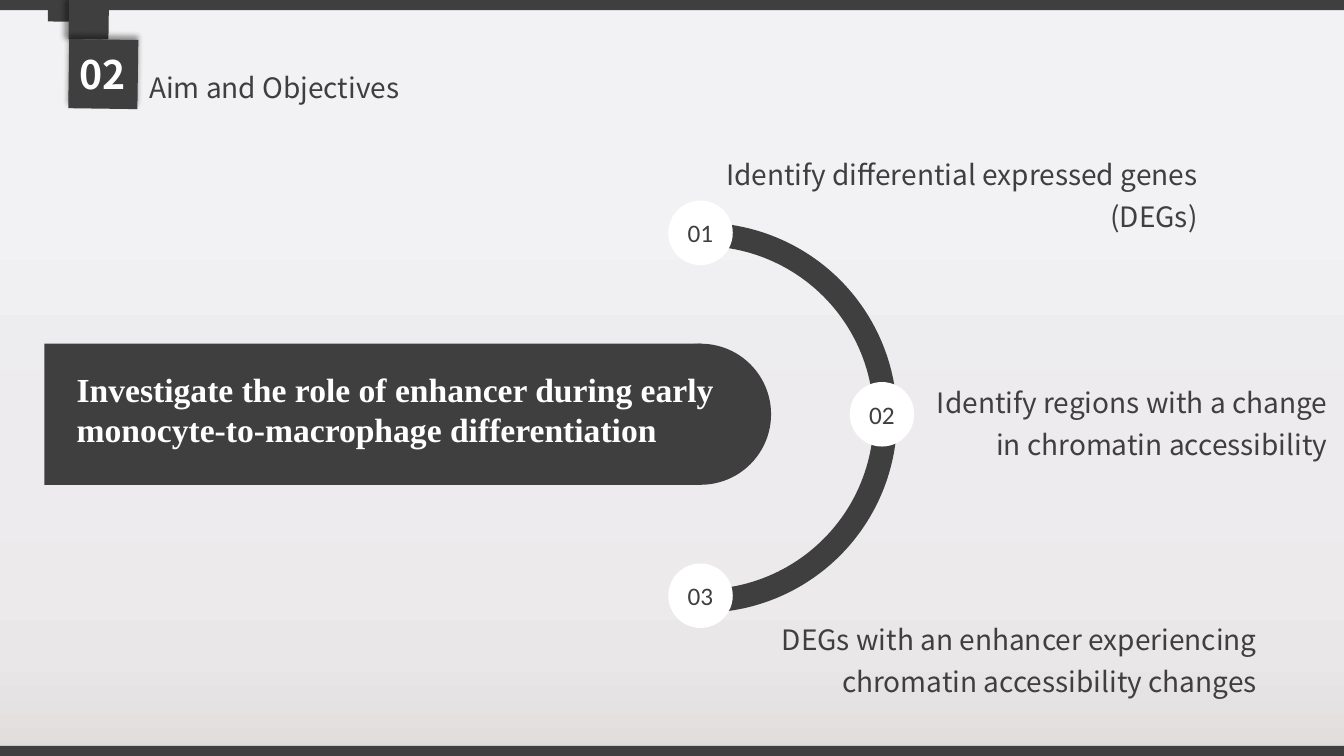
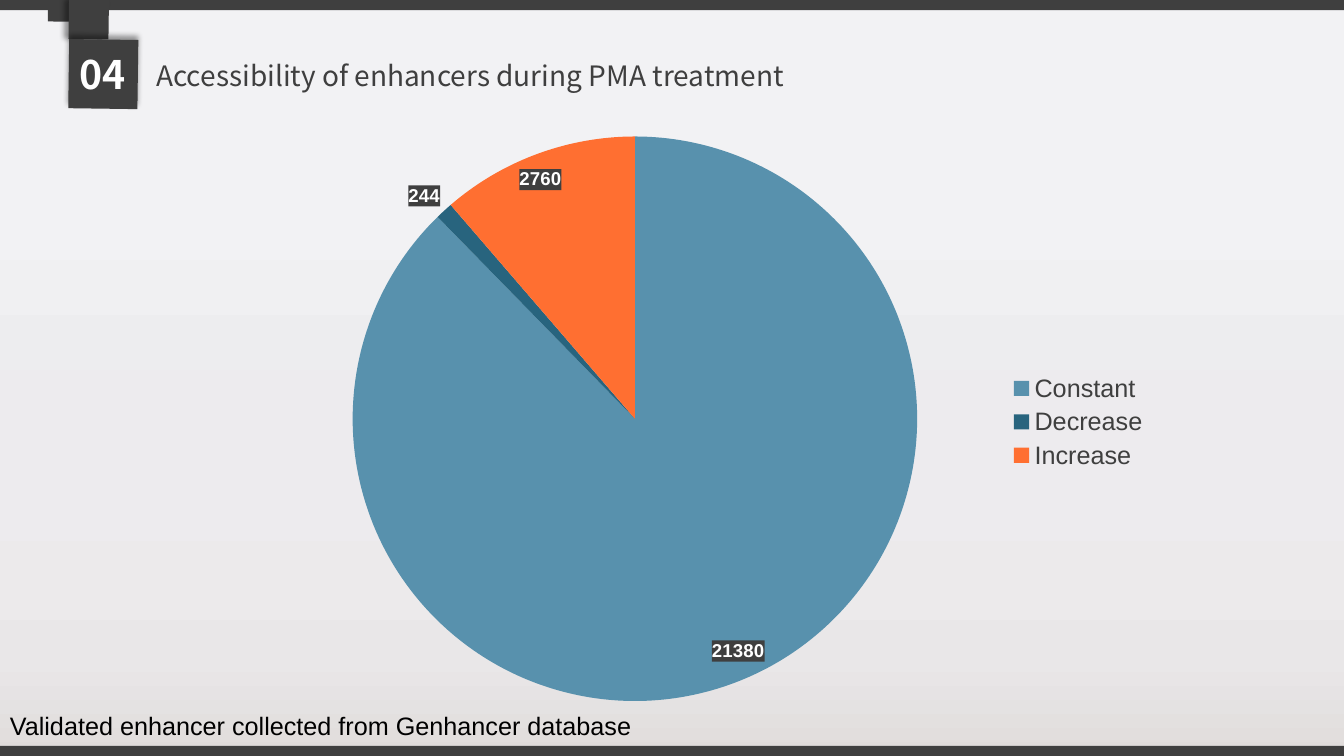
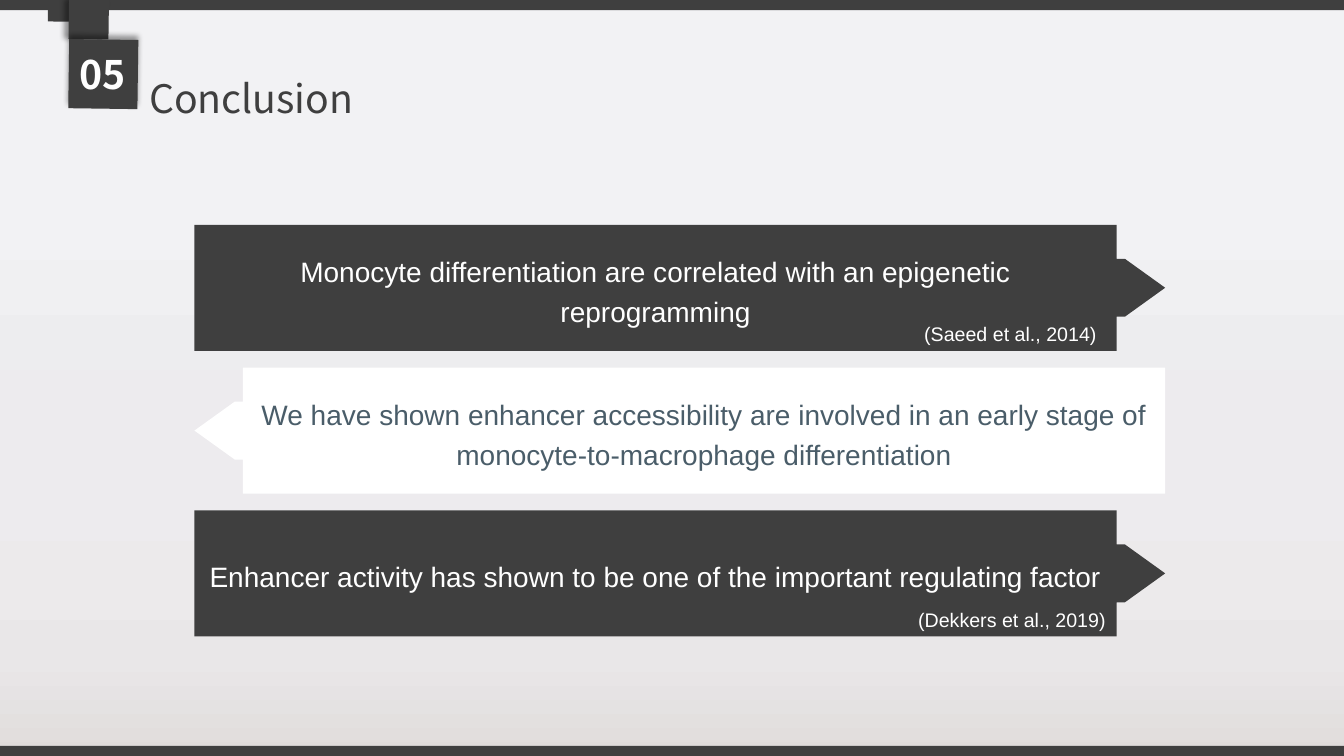
from dataclasses import dataclass

from lxml import etree
from pptx import Presentation
from pptx import util as u
from pptx.chart import data as chart_data
from pptx.dml import color
from pptx.enum import chart as charts
from pptx.enum import shapes, text
from pptx.oxml import ns

COLUMNS, ROWS = 40, 22.5
CELL = u.Inches(1) / 3
SHAPE = shapes.MSO_SHAPE
ALIGN = text.PP_ALIGN
ANCHOR = text.MSO_ANCHOR


@dataclass(frozen=True)
class Theme:
    dark: str = "3F3F3F"
    white: str = "FFFFFF"
    black: str = "000000"
    slate: str = "4A5D69"
    pie: tuple = ("5891AD", "28647E", "FF6F31")
    backdrop: tuple = (
        (0, "E0DCDB"), (13, "E9E7E8"), (23, "ECEAEB"), (34, "EDEBEE"),
        (51, "EDEDEF"), (73, "F2F2F4"), (100, "F2F2F4"),
    )
    heading: str = "Noto Sans CJK SC"
    body: str = "Arial"
    serif: str = "Times New Roman"
    badge: str = "Calibri"
    large: int = 28
    aim: int = 24
    medium: int = 20
    small: int = 18
    citation: int = 14
    label: float = 13.3
    chart: int = 10


def cells(*lengths):
    return [u.Emu(round(length * CELL)) for length in lengths]


def add_element(parent, tag, **attributes):
    values = {name: str(value) for name, value in attributes.items()}
    return etree.SubElement(parent, ns.qn(tag), values)


def apply(target, **values):
    for name, value in values.items():
        setattr(target, name, value)


class Deck:
    def __init__(self, theme):
        self.theme = theme
        self.presentation = Presentation()
        apply(self.presentation, slide_width=cells(COLUMNS)[0], slide_height=cells(ROWS)[0])
        self.slide = None
        self.paint_backdrop()

    def paint_backdrop(self):
        master = self.presentation.slide_master
        fill = master.background.fill
        fill.gradient()
        fill.gradient_angle = 90
        stops = master.element.find(".//" + ns.qn("a:gsLst"))
        for stop in list(stops):
            stops.remove(stop)
        for share, tint in self.theme.backdrop:
            stop = add_element(stops, "a:gs", pos=share * 1000)
            add_element(stop, "a:srgbClr", val=tint)

    def font(self, font, size, tint, name, bold=False):
        apply(font, size=u.Pt(size), name=name, bold=bold)
        font.color.rgb = color.RGBColor.from_string(tint)

    def set_text(self, shape, words, size, tint, name, bold=False, align=ALIGN.LEFT,
                 spacing=1.0, anchor=ANCHOR.TOP, insets=(0.1, 0.05)):
        side, end = map(u.Inches, insets)
        frame = shape.text_frame
        apply(frame, text=words, word_wrap=True, auto_size=text.MSO_AUTO_SIZE.NONE,
              vertical_anchor=anchor, margin_left=side, margin_right=side,
              margin_top=end, margin_bottom=end)
        paragraph = frame.paragraphs[0]
        apply(paragraph, alignment=align, line_spacing=spacing)
        self.font(paragraph.runs[0].font, size, tint, name, bold)

    def text(self, box, words, *style, parent=None, **options):
        shape = (parent or self.slide).shapes.add_textbox(*cells(*box))
        self.set_text(shape, words, *style, **options)

    def shape(self, kind, box, fill, parent=None, rotation=0, adjust=(), flip=False, shadow=None):
        shape = (parent or self.slide).shapes.add_shape(kind, *cells(*box))
        shape.shadow.inherit = False
        shape.fill.solid()
        shape.fill.fore_color.rgb = color.RGBColor.from_string(fill)
        shape.line.fill.background()
        shape.rotation = rotation
        for index, value in enumerate(adjust):
            shape.adjustments[index] = value
        if flip:
            shape.element.spPr.find(ns.qn("a:xfrm")).set("flipH", "1")
        if shadow is not None:
            self.cast_shadow(shape, shadow)
        return shape

    def cast_shadow(self, shape, angle):
        effects = shape.element.spPr.find(ns.qn("a:effectLst"))
        outer = add_element(effects, "a:outerShdw", blurRad=u.Pt(4), dist=u.Pt(3),
                            dir=angle * 60000, algn="ctr", rotWithShape=0)
        tint = add_element(outer, "a:srgbClr", val=self.theme.black)
        add_element(tint, "a:alpha", val=40000)

    def add_slide(self, number, title, box, size, spacing=1.0):
        theme = self.theme
        self.slide = self.presentation.slides.add_slide(self.presentation.slide_layouts[5])
        for top in (0, ROWS - 0.3):
            self.shape(SHAPE.RECTANGLE, (0, top, COLUMNS, 0.3), theme.dark)
        ribbon = self.slide.shapes.add_group_shape()
        for left, top, side, rotation, shadow in (
            (1.29, -0.15, 0.93, 45.8, None),
            (1.8, -0.27, 1.68, 135.8, 180),
            (1.62, 0.75, 2.91, 315.8, 270),
        ):
            self.shape(SHAPE.DIAMOND, (left, top, side, side), theme.dark,
                       parent=ribbon, rotation=rotation, shadow=shadow)
        self.text((1.98, 1.35, 2.16, 1.71), number, theme.large, theme.white,
                  theme.heading, bold=True, align=ALIGN.CENTER)
        placeholder = self.slide.shapes.title
        apply(placeholder, **dict(zip(("left", "top", "width", "height"), cells(*box))))
        self.set_text(placeholder, title, size, theme.dark, theme.heading, spacing=spacing)

    def badge(self, number, center_x, center_y, size=1.92):
        theme = self.theme
        box = (center_x - size / 2, center_y - size / 2, size, size)
        circle = self.shape(SHAPE.OVAL, box, theme.white)
        self.set_text(circle, number, theme.small, theme.dark, theme.badge,
                      align=ALIGN.CENTER, anchor=ANCHOR.MIDDLE, insets=(0, 0))

    def pill(self, left, top, width, height, words):
        theme = self.theme
        group = self.slide.shapes.add_group_shape()
        body = width - height / 2
        self.shape(SHAPE.RECTANGLE, (left, top, body, height), theme.dark, parent=group)
        self.shape(SHAPE.OVAL, (left + width - height, top, height, height), theme.dark, parent=group)
        self.text((left + 0.96, top + 0.75, width - 1.2, height - 1.5), words, theme.aim,
                  theme.white, theme.serif, bold=True, parent=group, insets=(0, 0))

    def callout(self, top, words, fill, tint, flip):
        arrow = self.shape(SHAPE.RIGHT_ARROW_CALLOUT, (5.79, top, 28.89, 3.75), fill,
                           adjust=(0.5, 0.23, 0.32, 0.95), flip=flip)
        self.set_text(arrow, words, self.theme.medium, tint, self.theme.body,
                      align=ALIGN.CENTER, spacing=1.2, anchor=ANCHOR.MIDDLE)

    def pie(self, box, categories, values):
        theme = self.theme
        data = chart_data.CategoryChartData()
        data.categories = categories
        data.add_series("Series 1", values)
        chart = self.slide.shapes.add_chart(charts.XL_CHART_TYPE.PIE, *cells(*box), data).chart
        apply(chart, has_title=False, has_legend=True)
        self.font(chart.font, theme.chart, theme.black, theme.body)
        apply(chart.legend, position=charts.XL_LEGEND_POSITION.RIGHT, include_in_layout=False)
        self.font(chart.legend.font, theme.small, theme.dark, theme.body)
        plot = chart.plots[0]
        plot.vary_by_categories = True
        series = plot.series[0]
        for index, tint in enumerate(theme.pie):
            fill = series.points[index].format.fill
            fill.solid()
            fill.fore_color.rgb = color.RGBColor.from_string(tint)
        labels = series.data_labels
        apply(labels, show_value=True, position=charts.XL_LABEL_POSITION.BEST_FIT)
        self.font(labels.font, theme.label, theme.white, theme.body, bold=True)
        self.fill_labels(labels)
        self.place_plot(chart, x=0.1, y=0.02, w=0.63, h=0.95)

    def fill_labels(self, labels):
        properties = etree.Element(ns.qn("c:spPr"))
        fill = add_element(properties, "a:solidFill")
        add_element(fill, "a:srgbClr", val=self.theme.dark)
        labels._element.find(ns.qn("c:txPr")).addprevious(properties)

    def place_plot(self, chart, **shares):
        area = chart._chartSpace.find(".//" + ns.qn("c:plotArea"))
        for old in area.findall(ns.qn("c:layout")):
            area.remove(old)
        layout = etree.Element(ns.qn("c:layout"))
        manual = add_element(layout, "c:manualLayout")
        add_element(manual, "c:layoutTarget", val="inner")
        for name in "xy":
            add_element(manual, f"c:{name}Mode", val="edge")
        for name, share in shares.items():
            add_element(manual, f"c:{name}", val=share)
        area.insert(0, layout)


def build_objectives(deck):
    theme = deck.theme
    deck.add_slide("02", "Aim and Objectives", (4.14, 1.44, 9.57, 1.5), theme.medium, 1.5)
    deck.shape(SHAPE.BLOCK_ARC, (15.09, 6.63, 11.61, 11.61), theme.dark,
               adjust=(53.84, 162.03, 0.06), flip=True)
    center_x, center_y, radius = 20.85, 12.33, 5.4
    for number, across, down in (("01", 0, -1), ("02", 1, 0), ("03", 0, 1)):
        deck.badge(number, center_x + across * radius, center_y + down * radius)
    deck.pill(1.32, 10.23, 21.63, 4.2,
              "Investigate the role of enhancer during early monocyte-to-macrophage differentiation")
    for left, top, width, words in (
        (19.53, 4.29, 16.41, "Identify differential expressed genes (DEGs)"),
        (26.67, 11.07, 13.14, "Identify regions with a change in chromatin accessibility"),
        (21.75, 18.12, 15.96, "DEGs with an enhancer experiencing chromatin accessibility changes"),
    ):
        deck.text((left, top, width, 2.82), words, theme.medium, theme.dark,
                  theme.heading, align=ALIGN.RIGHT, spacing=1.25)


def build_accessibility(deck):
    theme = deck.theme
    deck.add_slide("04", "Accessibility of enhancers during PMA treatment",
                   (4.35, 1.59, 33.69, 1.32), theme.medium)
    deck.pie((7.83, 3.66, 26.67, 17.79), ("Constant", "Decrease", "Increase"), (21380, 244, 2760))
    deck.text((0, 21, 20.91, 1.2), "Validated enhancer collected from Genhancer database",
              theme.small, theme.black, theme.body)


def build_conclusion(deck):
    theme = deck.theme
    deck.add_slide("05", "Conclusion", (4.14, 1.35, 6.84, 2.16), theme.large, 1.5)
    first, step = 6.69, 4.25
    dark, light = (theme.dark, theme.white, False), (theme.white, theme.slate, True)
    for row, (words, style) in enumerate((
        ("Monocyte differentiation are correlated with an epigenetic reprogramming", dark),
        ("We have shown enhancer accessibility are involved in an early stage of "
         "monocyte-to-macrophage differentiation", light),
        ("Enhancer activity has shown to be one of the important regulating factor", dark),
    )):
        deck.callout(first + row * step, words, *style)
    for row, left, words in (
        (0, 27.21, "(Saeed et al., 2014)"),
        (2, 27.03, "(Dekkers et al., 2019)"),
    ):
        deck.text((left, first + row * step + 2.75, 6.42, 1.02), words,
                  theme.citation, theme.white, theme.body)


def main():
    deck = Deck(Theme())
    build_objectives(deck)
    build_accessibility(deck)
    build_conclusion(deck)
    deck.presentation.save("out.pptx")


if __name__ == "__main__":
    main()
